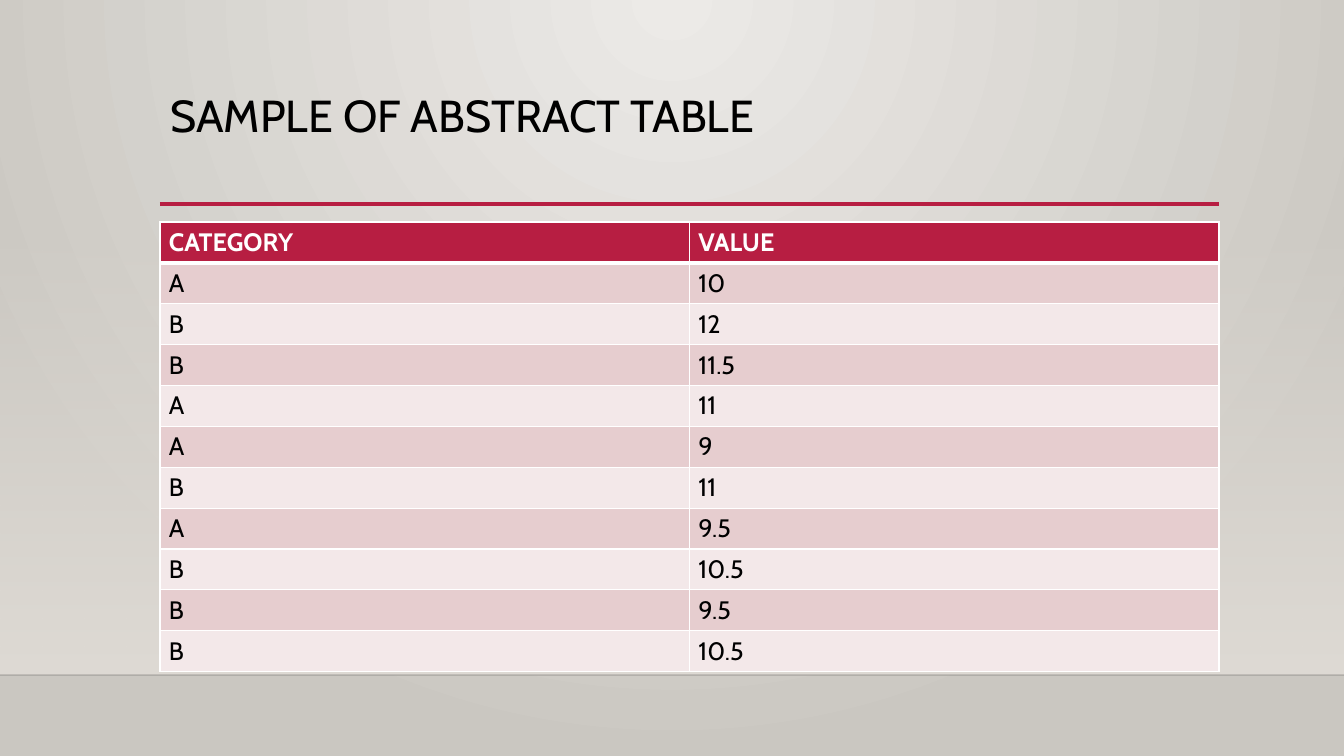
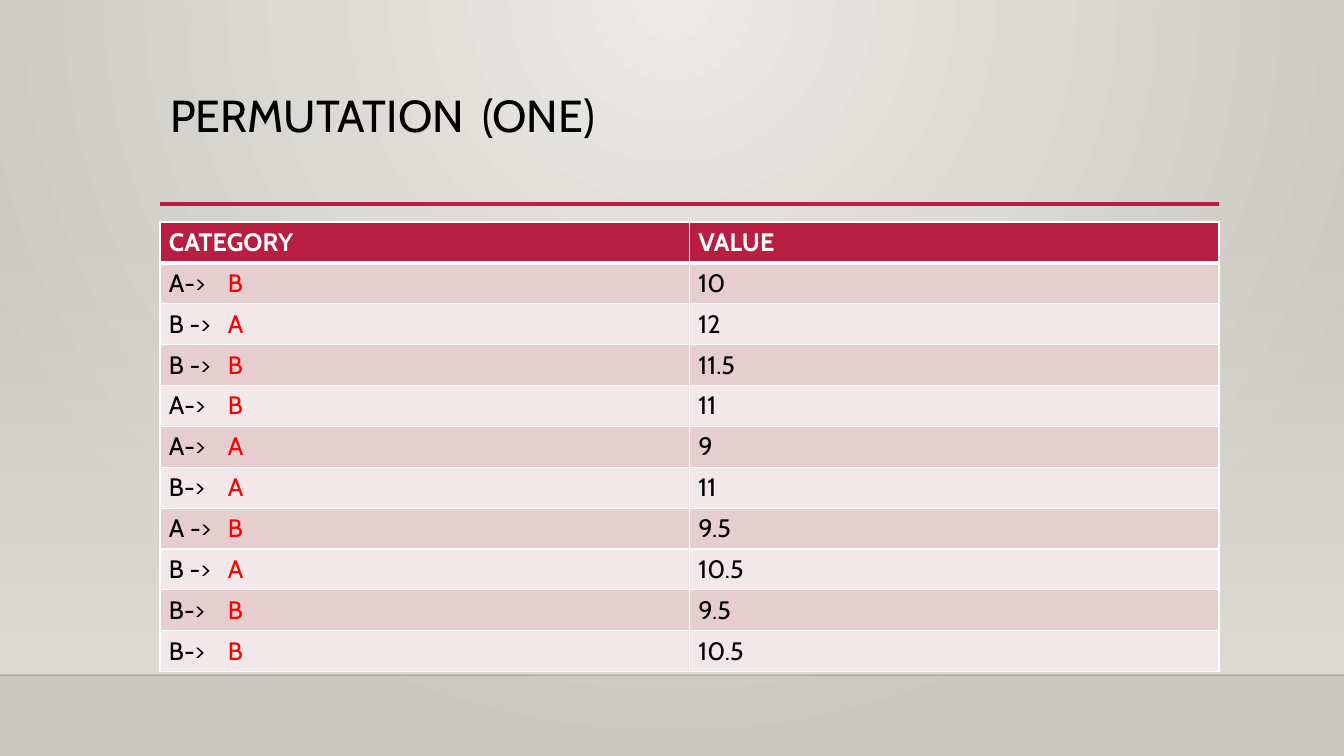
from lxml import etree
from pptx import Presentation
from pptx.dml.color import RGBColor
from pptx.enum.shapes import MSO_CONNECTOR as Conn, MSO_SHAPE as Geo
from pptx.enum.text import MSO_ANCHOR as Anchor, MSO_AUTO_SIZE as Auto, PP_ALIGN as Align
from pptx.oxml.ns import qn
from pptx.util import Pt

WIDE, HIGH = 1344, 756
SCALE = 12192000 / WIDE
LEFT, SPAN = 160, 1059
FLOOR = 675
FACE = "Cabin"
RED, BLACK, WHITE, NEW = "B71E42", "000000", "FFFFFF", "FF0000"
BANDS = ("E6CDCF", "F3E8E9")
HEAD = ("CATEGORY", "VALUE")
VALUES = ("10", "12", "11.5", "11", "9", "11", "9.5", "10.5", "9.5", "10.5")
OLD = "ABBAABABBB"
MOVES = ("A->\tB", "B ->\tA", "B ->\tB", "A->\tB", "A->\tA",
         "B->\tA", "A ->\tB", "B ->\tA", "B->\tB", "B->\tB")


def px(num):
    return round(num * SCALE)


def rgb(code):
    return RGBColor.from_string(code)


def sub(node, tag, **attrs):
    return etree.SubElement(node, qn(tag), attrs)


def fade(node, alpha):
    sub(node.find(".//" + qn("a:srgbClr")), "a:alpha", val=str(alpha * 1000))


def blend(fill, first, last):
    fill.gradient()
    for stop, code in zip(fill.gradient_stops, (first, last)):
        stop.color.rgb = rgb(code)


def backdrop(master):
    blend(master.background.fill, "ECEAE7", "CAC7C1")
    grad = master.element.find(".//" + qn("a:gradFill"))
    grad.remove(grad.find(qn("a:lin")))
    ring = sub(grad, "a:path", path="circle")
    sub(ring, "a:fillToRect", l="43000", r="43000", b="100000")


def wall(slide):
    top = 223
    box = slide.shapes.add_shape(Geo.RECTANGLE, 0, px(top), px(WIDE), px(FLOOR - top))
    box.shadow.inherit = False
    box.line.fill.background()
    blend(box.fill, "DFDBD5", "DFDBD5")
    box.fill.gradient_angle = 270
    fade(box.element.spPr, 0)


def rule(slide, left, top, span, code, width, alpha=100):
    line = slide.shapes.add_connector(
        Conn.STRAIGHT, px(left), px(top), px(left + span), px(top))
    line.line.color.rgb = rgb(code)
    line.line.width = Pt(width)
    if alpha < 100:
        fade(line.element.spPr, alpha)
    sub(line.element.spPr, "a:effectLst")


def write(para, text, size, code, stop, bold=False, last=None):
    parts = text.split("\t")
    if len(parts) > 1:
        tabs = sub(para._p.get_or_add_pPr(), "a:tabLst")
        sub(tabs, "a:tab", pos=str(px(stop)), algn="l")
        parts[0] += "\t"
    for part in parts:
        run = para.add_run()
        run.text = part
    if last and len(parts) > 1:
        run.font.color.rgb = rgb(last)
    font = para.font
    font.name, font.size, font.bold = FACE, Pt(size), bold
    font.color.rgb = rgb(code)


def title(slide, text):
    box = slide.shapes.title
    box.left, box.top, box.width, box.height = map(px, (LEFT, 89, SPAN, 115))
    frame = box.text_frame
    frame.word_wrap = True
    frame.auto_size = Auto.NONE
    frame.vertical_anchor = Anchor.TOP
    para = frame.paragraphs[0]
    para.alignment = Align.LEFT
    para.line_spacing = 0.9
    write(para, text, 32, BLACK, 312)


def edge(cell, side, width):
    line = sub(cell._tc.get_or_add_tcPr(), "a:ln" + side, w=str(Pt(width)))
    sub(sub(line, "a:solidFill"), "a:srgbClr", val=WHITE)


def grid(slide, names):
    rows = [HEAD, *zip(names, VALUES)]
    table = slide.shapes.add_table(
        len(rows), len(HEAD), px(LEFT), px(222), px(SPAN), px(450)).table
    table.horz_banding = False
    for i, row in enumerate(rows):
        head = i == 0
        for j, text in enumerate(row):
            cell = table.cell(i, j)
            cell.margin_left = cell.margin_right = px(9)
            for side in "LRTB":
                thick = (i, side) in ((0, "B"), (1, "T"))
                edge(cell, side, 3 if thick else 1)
            cell.fill.solid()
            cell.fill.fore_color.rgb = rgb(RED if head else BANDS[(i - 1) % 2])
            write(cell.text_frame.paragraphs[0], text, 18,
                  WHITE if head else BLACK, 59, head, NEW)


def page(deck, text, names):
    slide = deck.slides.add_slide(deck.slide_layouts[5])
    wall(slide)
    rule(slide, 0, FLOOR, WIDE, "000001", 1, 20)
    rule(slide, LEFT, 204, SPAN, RED, 2.5)
    title(slide, text)
    grid(slide, names)


def main():
    deck = Presentation()
    deck.slide_width, deck.slide_height = px(WIDE), px(HIGH)
    backdrop(deck.slide_master)
    page(deck, "SAMPLE OF ABSTRACT TABLE", OLD)
    page(deck, "PERMUTATION\t(ONE)", MOVES)
    deck.save("out.pptx")


if __name__ == "__main__":
    main()
